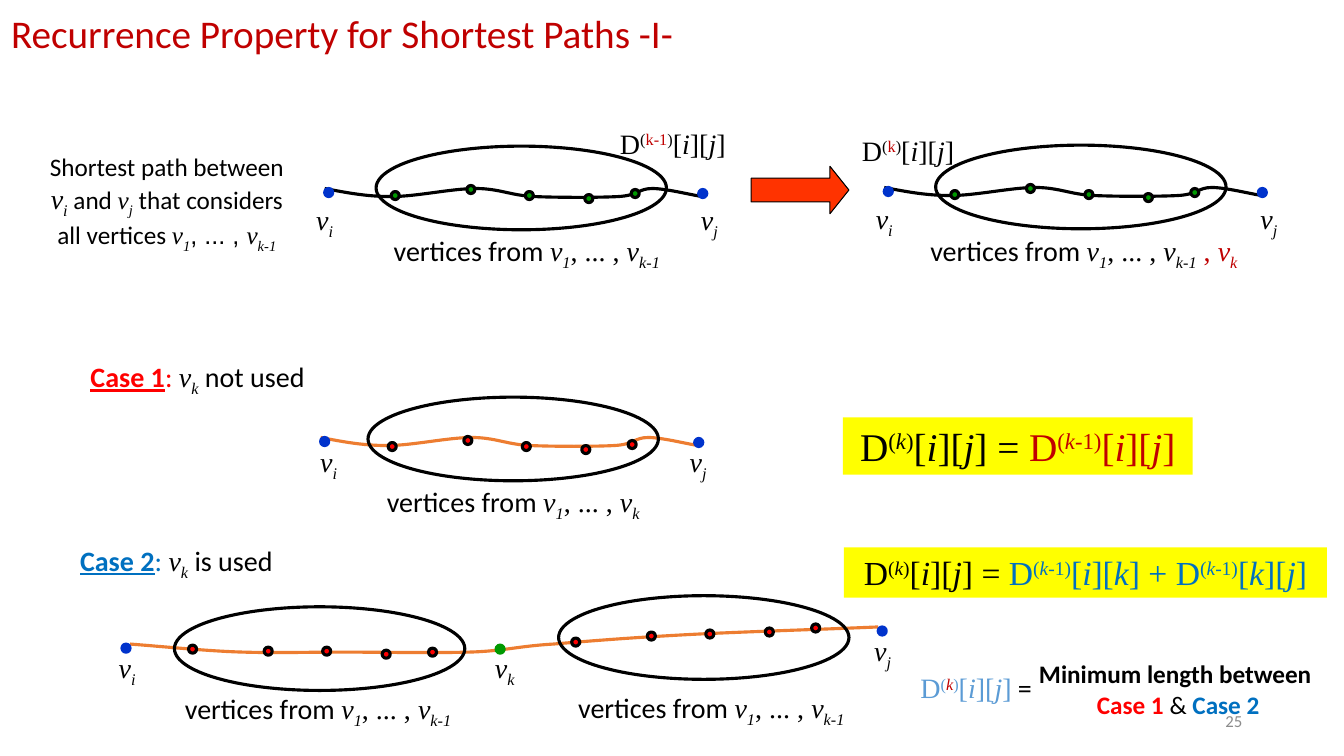
"""Draw the slide on the recurrence property for shortest paths."""
from lxml.etree import SubElement
from pptx import Presentation
from pptx.dml.color import RGBColor
from pptx.enum.shapes import MSO_SHAPE
from pptx.enum.text import MSO_ANCHOR, MSO_AUTO_SIZE, PP_ALIGN
from pptx.oxml.ns import qn
from pptx.util import Inches, Pt

HUES = {
    "black": "000000", "red": "FF0000", "crimson": "C00000", "blue": "0070C0",
    "sky": "5B9BD5", "gray": "8C8C8C", "navy": "0033CC", "green": "009900",
    "orange": "ED7D31", "flame": "FF3300", "yellow": "FFFF00",
}
FACES = {"times": "Times New Roman", "arial": "Arial"}
SHIFTS = {"sub": "-25000", "sup": "30000"}
DOT = 0.08
STEPS = (0, 0.75, 1.33, 1.92, 2.38)
WAVY = (0.45, 0.39, 0.45, 0.48, 0.43)
FLAT = (0.38, 0.40, 0.40, 0.43, 0.41)
RISING = (0.42, 0.36, 0.34, 0.32, 0.28)
WAVE = [
    (0, 0), (0.21, 0.04), (0.41, 0.08), (0.66, 0.08), (0.91, 0.08), (1.26, 0),
    (1.5, 0), (1.73, 0), (1.85, 0.07), (2.08, 0.08), (2.32, 0.09), (2.72, 0.09),
    (2.91, 0.08), (3.11, 0.07), (3.11, 0), (3.25, 0), (3.39, 0), (3.66, 0.07),
    (3.75, 0.08),
]
DETOUR = [
    (1.29, 6.39), (1.68, 6.42), (2.06, 6.46), (2.41, 6.47), (2.76, 6.48),
    (3.02, 6.47), (3.39, 6.47), (3.76, 6.47), (4.3, 6.48), (4.65, 6.47),
    (5, 6.46), (5.14, 6.41), (5.49, 6.39), (5.84, 6.36), (6.21, 6.33),
    (6.75, 6.3), (7.29, 6.27), (8, 6.25), (8.71, 6.22),
]


def hue(name):
    """Return the named colour."""
    return RGBColor.from_string(HUES[name])


def text(slide, at, lines, size=20, align=PP_ALIGN.CENTER, wrap=False,
         grow=True, fill=None, pad=(0.1, 0.05)):
    """Add a text box whose lines are lists of (words, style) runs."""
    box = slide.shapes.add_textbox(*map(Inches, at))
    if fill:
        box.fill.solid()
        box.fill.fore_color.rgb = hue(fill)
    frame = box.text_frame
    frame.word_wrap = wrap
    frame.auto_size = MSO_AUTO_SIZE.SHAPE_TO_FIT_TEXT if grow else MSO_AUTO_SIZE.NONE
    frame.vertical_anchor = MSO_ANCHOR.MIDDLE
    frame.margin_left = frame.margin_right = Inches(pad[0])
    frame.margin_top = frame.margin_bottom = Inches(pad[1])
    for index, line in enumerate(lines):
        para = frame.paragraphs[0] if index == 0 else frame.add_paragraph()
        para.alignment = align
        for words, style in line:
            marks = style.split()
            run = para.add_run()
            run.text = words
            font = run.font
            font.size = Pt(size + 2 if "large" in marks else size)
            font.name = next((FACES[m] for m in marks if m in FACES), "Calibri")
            font.color.rgb = hue(next((m for m in marks if m in HUES), "black"))
            font.bold = "bold" in marks
            font.italic = "italic" in marks
            font.underline = "under" in marks
            for mark in marks:
                if mark in SHIFTS:
                    run._r.get_or_add_rPr().set("baseline", SHIFTS[mark])


def node(sub, tone=""):
    """Return the runs of a vertex name."""
    return [("v", f"times italic {tone}"), (sub, f"times italic sub {tone}")]


def series(last, face="times"):
    """Return the runs of a list of vertices from the first to the last."""
    return [*node("1"), (", ... , ", face), *node(last)]


def dist(step, row, col, tone="", tail=""):
    """Return the runs of a distance matrix entry."""
    flat, slant, sup = f"times {tone}", f"times italic {tone}", f"times sup {tone}"
    return [("D", flat), ("(", sup), *step, (")", sup), ("[", flat),
            (row, slant), ("][", flat), (col, slant), ("]" + tail, flat)]


def power(tone="", tail=""):
    """Return the runs of the raised step k, with an upright tail."""
    runs = [("k", f"times italic sup {tone}")]
    return runs + [(tail, f"times sup {tone}")] if tail else runs


def shape(slide, kind, at, fill=None, line="black", width=2.25):
    """Add a plain preset shape."""
    item = slide.shapes.add_shape(kind, *map(Inches, at))
    item.shadow.inherit = False
    if fill:
        item.fill.solid()
        item.fill.fore_color.rgb = hue(fill)
    else:
        item.fill.background()
    item.line.color.rgb = hue(line)
    item.line.width = Pt(width)
    return item


def dot(slide, x, y, fill, line=None):
    """Add a small round vertex."""
    shape(slide, MSO_SHAPE.OVAL, (x, y, DOT, DOT), fill, line or fill)


def curve(slide, knots, line):
    """Draw a chain of cubic curves through the knots."""
    spots = [tuple(map(Inches, knot)) for knot in knots]
    pen = slide.shapes.build_freeform(*spots[0])
    pen.add_line_segments(spots[1:], close=False)
    item = pen.convert_to_shape()
    item.shadow.inherit = False
    item.fill.background()
    item.line.color.rgb = hue(line)
    item.line.width = Pt(2.25)
    track = next(item._element.iter(qn("a:path")))
    legs = track.findall(qn("a:lnTo"))
    for start in range(0, len(legs), 3):
        bend = SubElement(track, qn("a:cubicBezTo"))
        for leg in legs[start:start + 3]:
            bend.append(leg[0])
            track.remove(leg)


def group(slide, x, y, drops, fill, lead=0.15):
    """Draw the inner vertices and the oval around them."""
    for step, drop in zip(STEPS, drops):
        dot(slide, x + lead + step, y + drop, fill, "black")
    shape(slide, MSO_SHAPE.OVAL, (x, y, 2.88, 0.83))


def route(slide, x, y, line, fill, oval, lead=0.15):
    """Draw a wavy path with its two ends and its inner vertices."""
    curve(slide, [(x + dx, y + dy) for dx, dy in WAVE], line)
    dot(slide, x, y, "navy")
    dot(slide, x + 3.71, y + 0.01, "navy")
    group(slide, *oval, WAVY, fill, lead)


def main():
    """Build and save the slide."""
    deck = Presentation()
    deck.slide_width, deck.slide_height = Inches(13.33), Inches(7.5)
    slide = deck.slides.add_slide(deck.slide_layouts[6])
    left = PP_ALIGN.LEFT

    text(slide, (0.09, 0, 10, 0.65),
         [[("Recurrence Property for Shortest Paths -I-", "crimson")]],
         size=28, align=left, wrap=True, grow=False, pad=(0.02, 0.01))
    text(slide, (0.38, 1.49, 2.55, 1.04), [
        [("Shortest path between", "")],
        [("v", "times italic large"), ("i", "times italic sub large"), (" and ", ""),
         *node("j"), (" that considers", "")],
        [("all vertices ", ""), *series("k-1", "arial")],
    ], size=18, wrap=True)

    route(slide, 3.22, 1.87, "black", "green", (3.73, 1.45))
    route(slide, 8.77, 1.86, "black", "green", (9.28, 1.44))
    route(slide, 3.18, 4.34, "orange", "red", (3.65, 3.94), lead=0.2)
    curve(slide, DETOUR, "orange")
    group(slide, 1.73, 6.02, FLAT, "red", lead=0.14)
    group(slide, 5.54, 5.91, RISING, "red", lead=0.13)
    for x, y, fill in ((1.21, 6.39, "navy"), (4.92, 6.4, "green"), (8.71, 6.22, "navy")):
        dot(slide, x, y, fill)

    for x, y, sub in ((3.03, 1.98, "i"), (6.83, 1.98, "j"), (8.58, 1.97, "i"),
                      (12.38, 1.97, "j"), (3.07, 4.38, "i"), (6.72, 4.38, "j"),
                      (1.07, 6.42, "i"), (4.8, 6.42, "k"), (8.55, 6.25, "j")):
        text(slide, (x, y, 0.38 if sub == "i" else 0.41, 0.44), [node(sub)])
    more = [(" , ", "times crimson"), *node("k", "crimson")]
    for x, y, wide, last, tail in (
            (3.78, 2.29, 2.89, "k-1", []), (8.94, 2.29, 3.62, "k-1", more),
            (3.72, 4.78, 2.74, "k", []), (1.71, 6.83, 2.89, "k-1", []),
            (5.61, 6.82, 2.89, "k-1", [])):
        text(slide, (x, y, wide, 0.44), [[("vertices from ", ""), *series(last), *tail]])

    for x, y, wide, name, tone, use in (
            (0.78, 3.54, 2.36, "Case 1", "red", " not used"),
            (0.68, 5.36, 2.14, "Case 2", "blue", " is used")):
        text(slide, (x, y, wide, 0.44),
             [[(name, f"bold under {tone}"), (": ", tone), *node("k"), (use, "")]])

    for x, y, wide, step in ((6.05, 1.2, 1.31, "k-1"), (8.45, 1.27, 1.15, "k")):
        text(slide, (x, y, wide, 0.44),
             [dist([(step, "times sup crimson")], "i", "j")], align=left)
    entry = dist(power(), "i", "j", tail=" = ")
    text(slide, (8.36, 4.14, 3.47, 0.57),
         [entry + dist(power("crimson", "-1"), "i", "j", "crimson")],
         size=28, fill="yellow")
    prior = power("blue", "-1")
    text(slide, (8.37, 5.43, 4.79, 0.5),
         [entry + dist(prior, "i", "k", "blue", " + ") + dist(prior, "k", "j", "blue")],
         size=24, fill="yellow")

    arrow = shape(slide, MSO_SHAPE.DOWN_ARROW, (7.7, 1.4, 0.47, 0.97), "flame", width=0.75)
    arrow.rotation = 270
    arrow.adjustments[0], arrow.adjustments[1] = 0.5, 0.4

    text(slide, (10.2, 6.48, 2.97, 0.71), [
        [("Minimum length between ", "bold")],
        [("Case 1 ", "bold red"), ("& ", ""), ("Case 2", "bold blue")],
    ], size=18, wrap=True)
    text(slide, (9.03, 6.6, 1.37, 0.44),
         [[*dist(power("crimson"), "i", "j", "sky"), (" =", "")]], align=left)
    text(slide, (9.42, 6.95, 3, 0.4), [[("25", "gray")]], size=12,
         align=PP_ALIGN.RIGHT, wrap=True, grow=False)
    deck.save("out.pptx")


if __name__ == "__main__":
    main()
